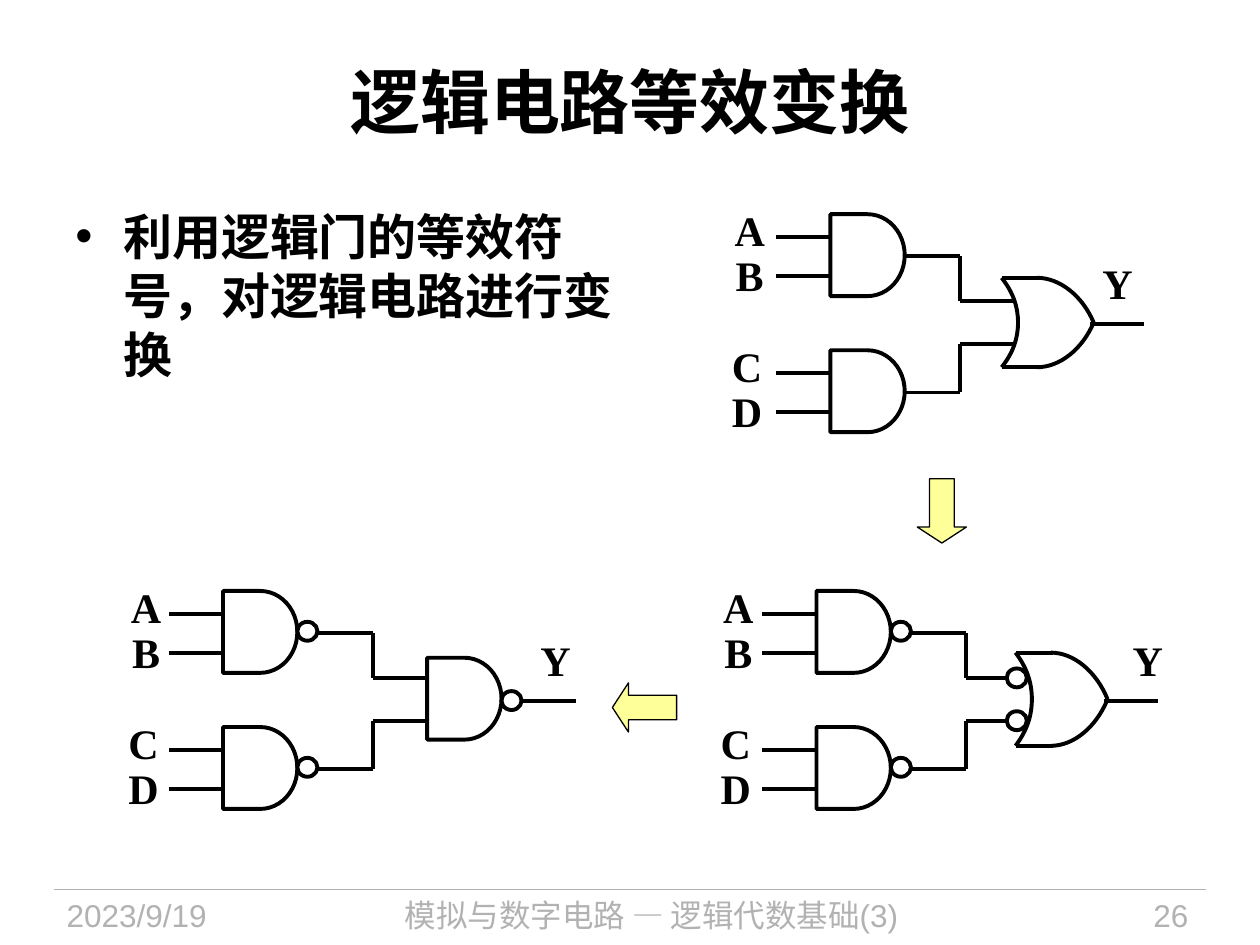
from dataclasses import dataclass

from lxml.etree import SubElement
from pptx import Presentation
from pptx.dml.color import RGBColor
from pptx.enum.shapes import MSO_CONNECTOR, MSO_SHAPE
from pptx.enum.text import MSO_ANCHOR, PP_ALIGN
from pptx.oxml.ns import qn
from pptx.util import Inches, Pt


@dataclass(frozen=True)
class Theme:
    ink: RGBColor = RGBColor(0, 0, 0)
    paper: RGBColor = RGBColor(255, 255, 255)
    muted: RGBColor = RGBColor(0xB2, 0xB2, 0xB2)
    arrow: RGBColor = RGBColor(0xFF, 0xFF, 0x99)
    sans: str = "Arial"
    serif: str = "Times New Roman"
    title: int = 40
    body: int = 28
    label: int = 24
    footer: int = 18
    wire: float = 2.25
    hairline: float = 0.75


THEME = Theme()
GATE_WIDTH, GATE_HEIGHT = 0.59, 0.65
BUBBLE_WIDTH, BUBBLE_HEIGHT = 0.16, 0.15
WIRE = 0.43
PAIR_GAP = 1.08
OR_WIDTH = 0.73
OUTPUT_Y = 0.87
ENTRY_YS = (0.69, 1.03)


def assign(target, values):
    for name, value in values.items():
        setattr(target, name, value)


def add_text(page, box, text, font, align=PP_ALIGN.LEFT, frame_values=None):
    text_box = page.shapes.add_textbox(*map(Inches, box))
    assign(text_box.text_frame, {"word_wrap": True, **(frame_values or {})})
    para = text_box.text_frame.paragraphs[0]
    para.alignment = align
    span = para.add_run()
    span.text = text
    color = font.pop("color")
    assign(span.font, font)
    span.font.color.rgb = color
    return para


def add_line(page, start, end, color=THEME.ink, width=THEME.wire):
    points = map(Inches, (*start, *end))
    line = page.shapes.add_connector(MSO_CONNECTOR.STRAIGHT, *points)
    line.line.color.rgb = color
    line.line.width = Pt(width)
    SubElement(line._element.spPr, qn("a:effectLst"))


def style_shape(shape, fill=None, width=THEME.wire):
    shape.shadow.inherit = False
    if fill is None:
        shape.fill.background()
    else:
        shape.fill.solid()
        shape.fill.fore_color.rgb = fill
    shape.line.color.rgb = THEME.ink
    shape.line.width = Pt(width)


def add_and_gate(page, left, top):
    box = (left, top, GATE_WIDTH, GATE_HEIGHT)
    style_shape(page.shapes.add_shape(MSO_SHAPE.FLOWCHART_DELAY, *map(Inches, box)))


def add_bubble(page, left, middle):
    box = (left, middle - BUBBLE_HEIGHT / 2, BUBBLE_WIDTH, BUBBLE_HEIGHT)
    bubble = page.shapes.add_shape(MSO_SHAPE.OVAL, *map(Inches, box))
    style_shape(bubble, THEME.paper)


def add_curve(page, left, top, points):
    places = [(Inches(left + x), Inches(top + y)) for x, y in points]
    builder = page.shapes.build_freeform(*places[0], scale=1.0)
    builder.add_line_segments(places[1:], close=False)
    shape = builder.convert_to_shape()
    outline = next(shape._element.iter(qn("a:path")))
    segments = outline.findall(qn("a:lnTo"))
    for first in range(0, len(segments), 3):
        bezier = SubElement(outline, qn("a:cubicBezTo"))
        for segment in segments[first:first + 3]:
            bezier.append(segment[0])
            outline.remove(segment)
    style_shape(shape)


def add_or_gate(page, left, top, height):
    tip = (OR_WIDTH, height / 2)
    for edge, pull in ((0, 0.2), (1, 0.8)):
        arc = [(0.28, edge * height), (0.46, edge * height), (0.64, pull * height), tip]
        add_curve(page, left, top, arc)
        y = top + edge * height
        add_line(page, (left + 0.3, y), (left, y))
    back = ((0, 0), (0.09, 0.16), (0.13, 0.32), (0.13, 0.5), (0.13, 0.68), (0.09, 0.84), (0, 1))
    add_curve(page, left, top, [(x, y * height) for x, y in back])


def add_label(page, left, top, letter):
    font = {"name": THEME.serif, "size": Pt(THEME.label), "bold": True, "color": THEME.ink}
    margins = {f"margin_{side}": 0 for side in ("left", "top", "right", "bottom")}
    para = add_text(page, (left, top, 0.3, 0.36), letter, font, PP_ALIGN.CENTER, margins)
    para.line_spacing = 0.9


def add_input_pair(page, left, top, letters, label_shift, inverted):
    for row, letter in enumerate(letters):
        y = top + 0.18 + 0.31 * row
        add_line(page, (left - WIRE, y), (left, y))
        add_label(page, left + label_shift, top - 0.03 + 0.355 * row, letter)
    add_and_gate(page, left, top)
    if inverted:
        add_bubble(page, left + GATE_WIDTH, top + 0.32)


def add_circuit(page, left, top, inverted, final, gap, label_shift, y_shift, or_height=0):
    start = left + GATE_WIDTH + (BUBBLE_WIDTH if inverted else 0)
    bend = start + 0.44
    gate_left = bend + gap
    for row, letters in enumerate(("AB", "CD")):
        pair_top = top + PAIR_GAP * row
        add_input_pair(page, left, pair_top, letters, label_shift - 0.02 * row, inverted)
        source_y = pair_top + 0.335
        entry_y = top + ENTRY_YS[row]
        add_line(page, (start, source_y), (bend, source_y))
        add_line(page, (bend, source_y), (bend, entry_y))
        add_line(page, (bend, entry_y), (bend + WIRE, entry_y))
    if final == "nand":
        add_and_gate(page, gate_left, top + 0.53)
        add_bubble(page, gate_left + GATE_WIDTH, top + OUTPUT_Y)
        output = gate_left + GATE_WIDTH + BUBBLE_WIDTH
    else:
        add_or_gate(page, gate_left, top + 0.86 - or_height / 2, or_height)
        output = gate_left + OR_WIDTH - 0.03
    if final == "negative or":
        for entry_y in ENTRY_YS:
            add_bubble(page, gate_left - 0.07, top + entry_y)
    add_line(page, (output, top + OUTPUT_Y), (output + WIRE, top + OUTPUT_Y))
    add_label(page, output + y_shift, top + 0.39, "Y")


def add_arrow(page, box, rotation):
    arrow = page.shapes.add_shape(MSO_SHAPE.RIGHT_ARROW, *map(Inches, box))
    arrow.rotation = rotation
    arrow.adjustments[0], arrow.adjustments[1] = 0.5, 0.325
    style_shape(arrow, THEME.arrow, THEME.hairline)


def add_title(page, box):
    font = {"name": THEME.sans, "size": Pt(THEME.title), "bold": True, "color": THEME.ink}
    middle = {"vertical_anchor": MSO_ANCHOR.MIDDLE}
    add_text(page, box, "逻辑电路等效变换", font, PP_ALIGN.CENTER, middle)


def add_body(page, box):
    font = {"name": THEME.sans, "size": Pt(THEME.body), "bold": True, "color": THEME.ink}
    para = add_text(page, box, "利用逻辑门的等效符号，对逻辑电路进行变换", font)
    properties = para._p.get_or_add_pPr()
    indents = {"marL": Inches(0.38), "indent": Inches(-0.38), "hangingPunct": 0}
    for name, value in indents.items():
        properties.set(name, str(value))
    SubElement(properties, qn("a:buFont")).set("typeface", THEME.sans)
    SubElement(properties, qn("a:buChar")).set("char", "•")


def add_footer(page, left, top, width):
    add_line(page, (left, top), (left + width, top), THEME.muted, THEME.hairline)
    parts = (
        (0, 1.88, "2023/9/19", PP_ALIGN.LEFT),
        (2.06, 5.36, "模拟与数字电路 — 逻辑代数基础(3)", PP_ALIGN.CENTER),
        (7.77, 1.33, "26", PP_ALIGN.RIGHT),
    )
    for shift, part_width, text, align in parts:
        font = {"name": THEME.sans, "size": Pt(THEME.footer), "color": THEME.muted}
        add_text(page, (left + shift, top, part_width, 0.44), text, font, align)


def main():
    deck = Presentation()
    assign(deck, {"slide_width": Inches(10), "slide_height": Inches(7.5)})
    page = deck.slides.add_slide(deck.slide_layouts[6])
    add_title(page, (0.5, 0.17, 9, 1.25))
    add_body(page, (0.5, 1.59, 4.46, 1.61))
    add_circuit(page, 6.59, 1.7, False, "or", 0.33, -0.79, 0.07, 0.71)
    add_arrow(page, (7.22, 3.86, 0.51, 0.39), 90)
    add_circuit(page, 6.48, 4.69, True, "negative or", 0.39, -0.77, 0.2, 0.74)
    add_arrow(page, (4.86, 5.42, 0.51, 0.39), 180)
    add_circuit(page, 1.77, 4.69, True, "nand", 0.43, -0.76, 0.12)
    add_footer(page, 0.43, 7.06, 9.14)
    deck.save("out.pptx")


if __name__ == "__main__":
    main()
